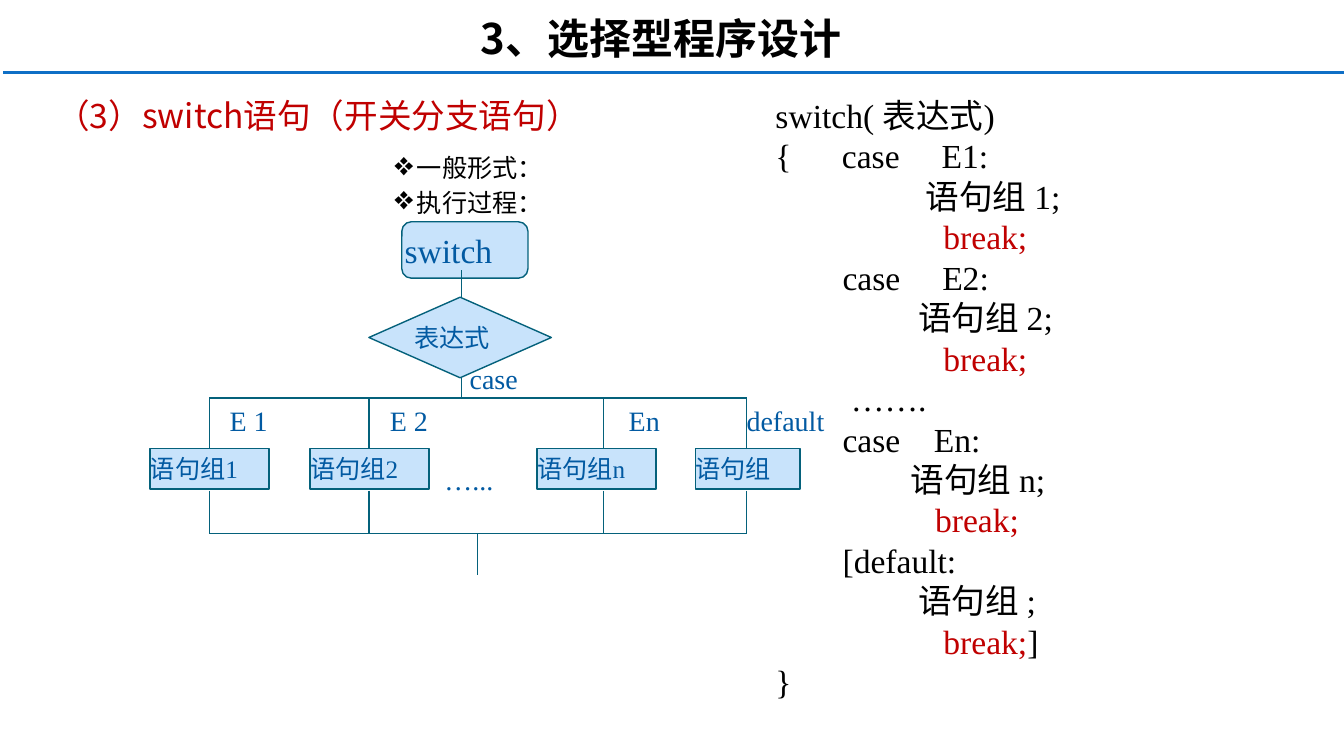
from pptx import Presentation, util as u
from pptx.dml.color import RGBColor
from pptx.enum import shapes as sh, text as tx
from pptx.oxml.ns import qn
from lxml import etree

HEX = {"rule": "0F6FC6", "line": "04617B", "fill": "C8E3FB",
       "blue": "025AA2", "red": "C00000", "black": "000000"}
SANS, SERIF = "Noto Sans CJK SC", "Times New Roman"

# Content, lengths in cm
HEAD = "3、选择型程序设计"
TITLE = "（3）switch语句（开关分支语句）"
POINTS = [("一般形式：", (7.72, 2.85, 10.13, 2.74)),
          ("执行过程：", (7.72, 4.6, 9.73, 0.99))]
CODE = """switch( 表达式)
{      case     E1:
                    语句组 1;
                    break;
        case     E2:
                   语句组 2;
                    break;
         …….
        case    En:
                  语句组 n;
                   break;
        [default:
                   语句组 ;
                    break;]
}""".split("\n")
# Condition, its left and width, action, its left and width, line x
CASES = [("E 1", 5.79, 1.47, "语句组1", 3.78, 3.0, 5.28),
         ("E 2", 9.83, 1.47, "语句组2", 7.82, 3.0, 9.3),
         ("En", 15.85, 1.3, "语句组n", 13.54, 3.0, 15.21),
         ("default", 18.82, 3.33, "语句组", 17.53, 2.64, 18.82)]
RAIL, BOX, FOOT, JOIN, END = 10.03, 11.3, 12.37, 13.44, 14.48
STEM, EXIT = 11.63, 12.04

# Text formats
FORMS = {"head": dict(name=SANS, size=u.Pt(30), bold=True),
         "title": dict(name=SANS, size=u.Pt(24), bold=False),
         "point": dict(name=SANS, size=u.Pt(18)),
         "code": dict(name=SERIF, size=u.Pt(24)),
         "step": dict(name=SERIF, size=u.Pt(18)),
         "label": dict(name=SERIF, size=u.Pt(20))}

deck = Presentation()
deck.slide_width, deck.slide_height = u.Cm(33.88), u.Cm(19.05)
slide = deck.slides.add_slide(deck.slide_layouts[5])


def rgb(key):
    return RGBColor.from_string(HEX[key])


def write(par, words, form, hue):
    run = par.add_run()
    run.text = words
    for key, val in FORMS[form].items():
        setattr(run.font, key, val)
    run.font.color.rgb = rgb(hue)
    if FORMS[form]["name"] == SANS:
        etree.SubElement(run.font._element, qn("a:ea"), typeface=SANS)


def frame(shape, left=0.25, anchor=tx.MSO_ANCHOR.TOP):
    body = shape.text_frame
    looks = dict(word_wrap=True, auto_size=tx.MSO_AUTO_SIZE.NONE,
                 vertical_anchor=anchor, margin_left=u.Cm(left),
                 margin_right=u.Cm(0.25), margin_top=u.Cm(0.13),
                 margin_bottom=u.Cm(0.13))
    for key, val in looks.items():
        setattr(body, key, val)
    par = body.paragraphs[0]
    par.alignment = tx.PP_ALIGN.LEFT
    return par


def label(words, area, form="label", hue="blue", left=0, **opts):
    box = slide.shapes.add_textbox(*map(u.Cm, area))
    par = frame(box, left, **opts)
    write(par, words, form, hue)
    return par


def node(kind, words, area, form="step"):
    shape = slide.shapes.add_shape(kind, *map(u.Cm, area))
    shape.shadow.inherit = False
    shape.fill.solid()
    shape.fill.fore_color.rgb = rgb("fill")
    shape.line.color.rgb = rgb("line")
    shape.line.width = u.Pt(1)
    write(frame(shape, 0), words, form, "blue")


def line(x1, y1, x2, y2, hue="line", width=1):
    link = slide.shapes.add_connector(
        sh.MSO_CONNECTOR.STRAIGHT, *map(u.Cm, (x1, y1, x2, y2)))
    link.line.color.rgb = rgb(hue)
    link.line.width = u.Pt(width)
    etree.SubElement(link._element.spPr, qn("a:effectLst"))


# Heading, rule and title
label(HEAD, (2.13, 0.18, 29.08, 1.52), "head", "black",
      0.25).alignment = tx.PP_ALIGN.CENTER
line(0.08, 1.83, 33.88, 1.83, "rule", 2.25)
title = slide.shapes.title
for key, val in dict(left=1.17, top=2.39, width=21.59, height=1.17).items():
    setattr(title, key, u.Cm(val))
par = frame(title, anchor=tx.MSO_ANCHOR.MIDDLE)
par.line_spacing = 0.9
write(par, TITLE, "title", "red")

# Bullet points
for words, area in POINTS:
    par = label(words, area, "point", "black", 0.25,
                anchor=tx.MSO_ANCHOR.MIDDLE)
    props = par._p.get_or_add_pPr()
    props.set("marL", str(u.Cm(2.54)))
    props.set("indent", str(u.Cm(-0.56)))
    etree.SubElement(props, qn("a:buSzPct"), val="130000")
    etree.SubElement(props, qn("a:buChar"), char="❖")

# Code listing
panel = slide.shapes.add_textbox(*map(u.Cm, (19.3, 0.25, 11.2, 19.56)))
par = frame(panel, anchor=tx.MSO_ANCHOR.MIDDLE)
for row, words in enumerate(CODE):
    if row:
        par = panel.text_frame.add_paragraph()
    par.line_spacing = u.Pt(28.9)
    lead, stop, tail = words.partition("break;")
    for part, hue in ((lead, "black"), (stop, "red"), (tail, "black")):
        if part:
            write(par, part, "code", hue)

# Flow chart: entry
node(sh.MSO_SHAPE.FLOWCHART_ALTERNATE_PROCESS, "switch",
     (10.13, 5.59, 3.18, 1.42), "code")
node(sh.MSO_SHAPE.FLOWCHART_DECISION, "表达式", (9.3, 7.49, 4.6, 2.03))
label("case", (11.84, 8.99, 1.9, 1.12))
label("…...", (11.2, 11.53, 1.75, 1.12))
line(STEM, 6.81, STEM, 7.49)
line(STEM, 9.5, STEM, RAIL)

# Flow chart: branches
for cond, left, wide, act, edge, span, mid in CASES:
    node(sh.MSO_SHAPE.RECTANGLE, act, (edge, BOX, span, 1.02))
    label(cond, (left, RAIL, wide, 1.12))
    line(mid, RAIL, mid, BOX)
    line(mid, FOOT, mid, JOIN)

# Flow chart: rails and exit
for level in (RAIL, JOIN):
    line(CASES[0][-1], level, CASES[-1][-1], level)
line(EXIT, JOIN, EXIT, END)

deck.save("out.pptx")
